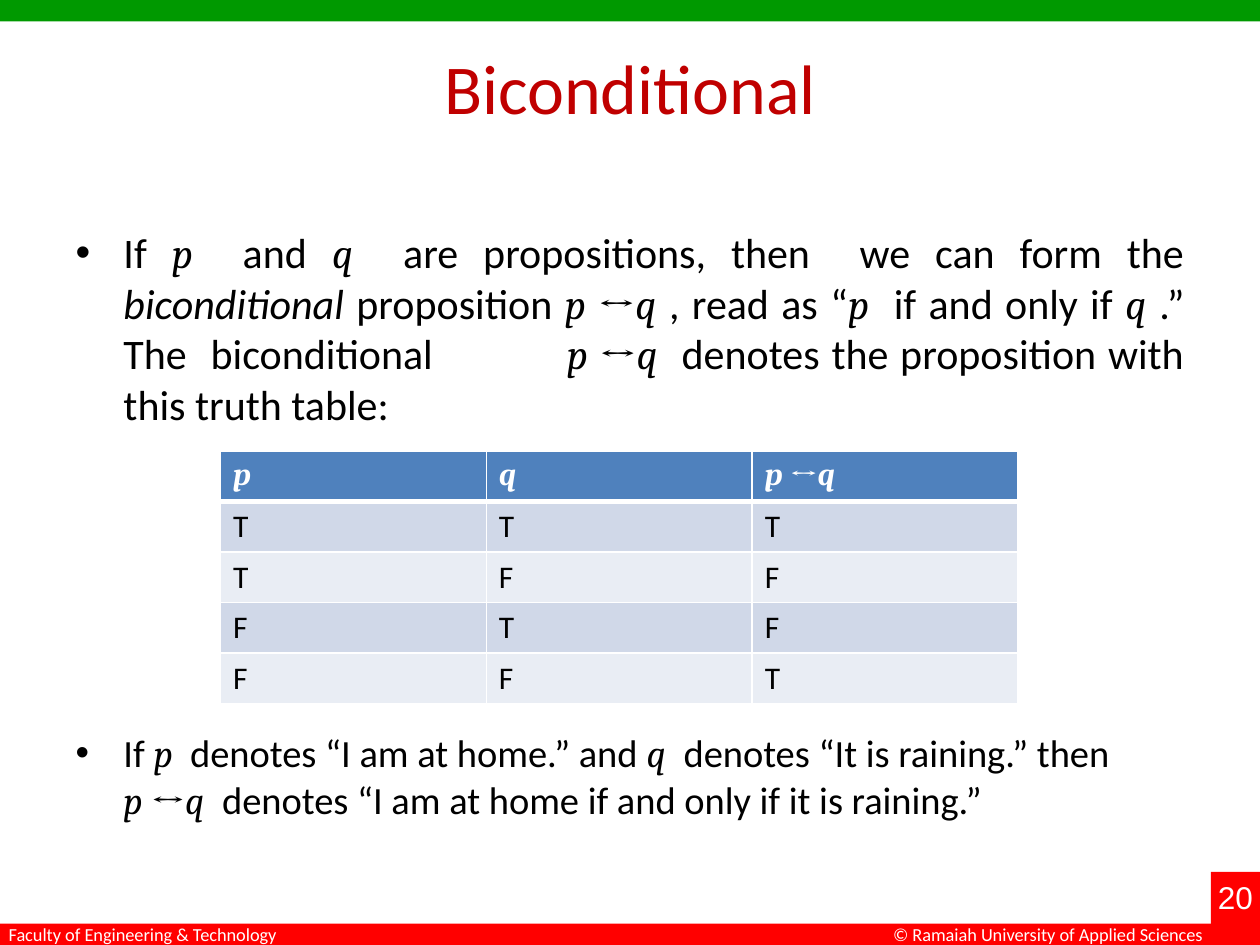
from lxml.etree import SubElement
from pptx import Presentation
from pptx.dml.color import RGBColor
from pptx.enum.shapes import MSO_SHAPE as Shape
from pptx.enum.text import MSO_ANCHOR as Anchor, MSO_AUTO_SIZE as AutoSize, PP_ALIGN as Align
from pptx.oxml.ns import qn
from pptx.util import Inches, Pt

GREEN, RED, WHITE, BLACK = "009900", "FF0000", "FFFFFF", "000000"
HEADER_FILL, BAND_FILLS = "4F81BD", ("D0D8E8", "E9EDF4")
STYLES = {"plain": ("Calibri", False), "emphasis": ("Calibri", True),
          "variable": ("Cambria", True), "operator": ("Cambria", False)}

P = [("p", "variable")]
Q = [("q", "variable")]
P_IFF_Q = [("p ", "variable"), ("↔", "operator"), ("q", "variable")]

DEFINITION = [
    ("If ", "plain"), *P, ("  and ", "plain"), *Q,
    ("  are propositions, then  we can form the ", "plain"),
    ("biconditional ", "emphasis"), ("proposition ", "plain"), *P_IFF_Q,
    (" , read as “", "plain"), *P, ("  if and only if ", "plain"), *Q,
    (" .” The  biconditional\t", "plain"), *P_IFF_Q,
    ("  denotes the proposition with this truth table:", "plain"),
]
EXAMPLE = [
    [("If ", "plain"), *P, ("  denotes “I am at home.” and ", "plain"), *Q,
     ("  denotes “It is raining.” then", "plain")],
    [*P_IFF_Q, ("  denotes “I am at home if and only if it is raining.”", "plain")],
]
TRUTH_ROWS = ["TTT", "TFF", "FTF", "FFT"]


def color(value):
    return RGBColor.from_string(value)


def format_font(font, name, size, fill, bold=False, italic=False):
    font.name, font.size, font.bold, font.italic = name, Pt(size), bold, italic
    font.color.rgb = color(fill)


def add_runs(paragraph, parts, size, fill=BLACK, bold=False):
    for text, style in parts:
        name, italic = STYLES[style]
        run = paragraph.add_run()
        run.text = text
        format_font(run.font, name, size, fill, bold, italic)


def place(shape, box):
    shape.left, shape.top, shape.width, shape.height = (Inches(value) for value in box)


def add_band(slide, box, fill):
    band = slide.shapes.add_shape(Shape.RECTANGLE, *(Inches(value) for value in box))
    band.shadow.inherit = False
    band.fill.solid()
    band.fill.fore_color.rgb = color(fill)
    band.line.fill.background()


def add_label(slide, box, text, name, size, align=Align.LEFT):
    label = slide.shapes.add_textbox(*(Inches(value) for value in box))
    label.text_frame.word_wrap = False
    label.text_frame.text = text
    paragraph = label.text_frame.paragraphs[0]
    paragraph.alignment = align
    format_font(paragraph.runs[0].font, name, size, WHITE)


def add_frame(slide):
    add_band(slide, (0, 0, 10, 0.17), GREEN)
    add_band(slide, (0, 7.33, 10, 0.17), RED)
    add_band(slide, (9.61, 6.92, 0.39, 0.58), RED)
    add_label(slide, (9.5, 6.92, 0.61, 0.51), "20", "Arial", 18, Align.CENTER)
    add_label(slide, (-0.03, 7.28, 2.38, 0.28),
              "Faculty of Engineering & Technology", "Calibri", 10.5)
    add_label(slide, (6.99, 7.28, 2.74, 0.28),
              "© Ramaiah University of Applied Sciences", "Calibri", 10.5)


def fill_title(title, box):
    place(title, box)
    title.text_frame.text = "Biconditional"
    title.text_frame.vertical_anchor = Anchor.TOP
    paragraph = title.text_frame.paragraphs[0]
    paragraph.alignment = Align.CENTER
    format_font(paragraph.runs[0].font, "Calibri", 40, "C00000")


def format_bullet(paragraph, align, space_before):
    properties = paragraph._p.get_or_add_pPr()
    properties.set("marL", str(Inches(0.38)))
    properties.set("indent", str(-Inches(0.38)))
    SubElement(properties, qn("a:buFont"), typeface="Arial")
    SubElement(properties, qn("a:buChar"), char="•")
    paragraph.alignment = align
    paragraph.space_before = Pt(space_before)
    return properties


def fill_body(body, box):
    place(body, box)
    frame = body.text_frame
    frame.auto_size = AutoSize.NONE
    frame.vertical_anchor = Anchor.TOP

    definition = frame.paragraphs[0]
    properties = format_bullet(definition, Align.JUSTIFY, 0)
    tabs = SubElement(properties, qn("a:tabLst"))
    SubElement(tabs, qn("a:tab"), pos=str(Inches(3.86)), algn="l")
    add_runs(definition, DEFINITION, 24)

    example = frame.add_paragraph()
    format_bullet(example, Align.LEFT, 172)
    first_line, second_line = EXAMPLE
    add_runs(example, first_line, 22)
    example.add_line_break()
    add_runs(example, second_line, 22)


def format_cell(cell, fill, bottom_width):
    properties = cell._tc.get_or_add_tcPr()
    for side, width in (("L", 1), ("R", 1), ("T", 1), ("B", bottom_width)):
        line = SubElement(properties, qn(f"a:ln{side}"), w=str(Pt(width)))
        line_fill = SubElement(line, qn("a:solidFill"))
        SubElement(line_fill, qn("a:srgbClr"), val=WHITE)
    cell.fill.solid()
    cell.fill.fore_color.rgb = color(fill)


def add_truth_table(slide, box):
    rows = [[P, Q, P_IFF_Q]]
    rows += [[[(value, "plain")] for value in row] for row in TRUTH_ROWS]
    table = slide.shapes.add_table(
        len(rows), len(rows[0]), *(Inches(value) for value in box)).table
    for row_index, row in enumerate(rows):
        header = row_index == 0
        fill = HEADER_FILL if header else BAND_FILLS[(row_index - 1) % 2]
        for column_index, parts in enumerate(row):
            cell = table.cell(row_index, column_index)
            format_cell(cell, fill, 3 if header else 1)
            add_runs(cell.text_frame.paragraphs[0], parts, 18,
                     WHITE if header else BLACK, header)


def main():
    presentation = Presentation()
    presentation.slide_width, presentation.slide_height = Inches(10), Inches(7.5)
    slide = presentation.slides.add_slide(presentation.slide_layouts[1])
    add_frame(slide)
    fill_title(slide.shapes.title, (0.5, 0.3, 9, 1.25))
    fill_body(slide.placeholders[1], (0.5, 1.75, 9, 4.95))
    add_truth_table(slide, (1.75, 3.58, 6.33, 2))
    presentation.save("out.pptx")


if __name__ == "__main__":
    main()
